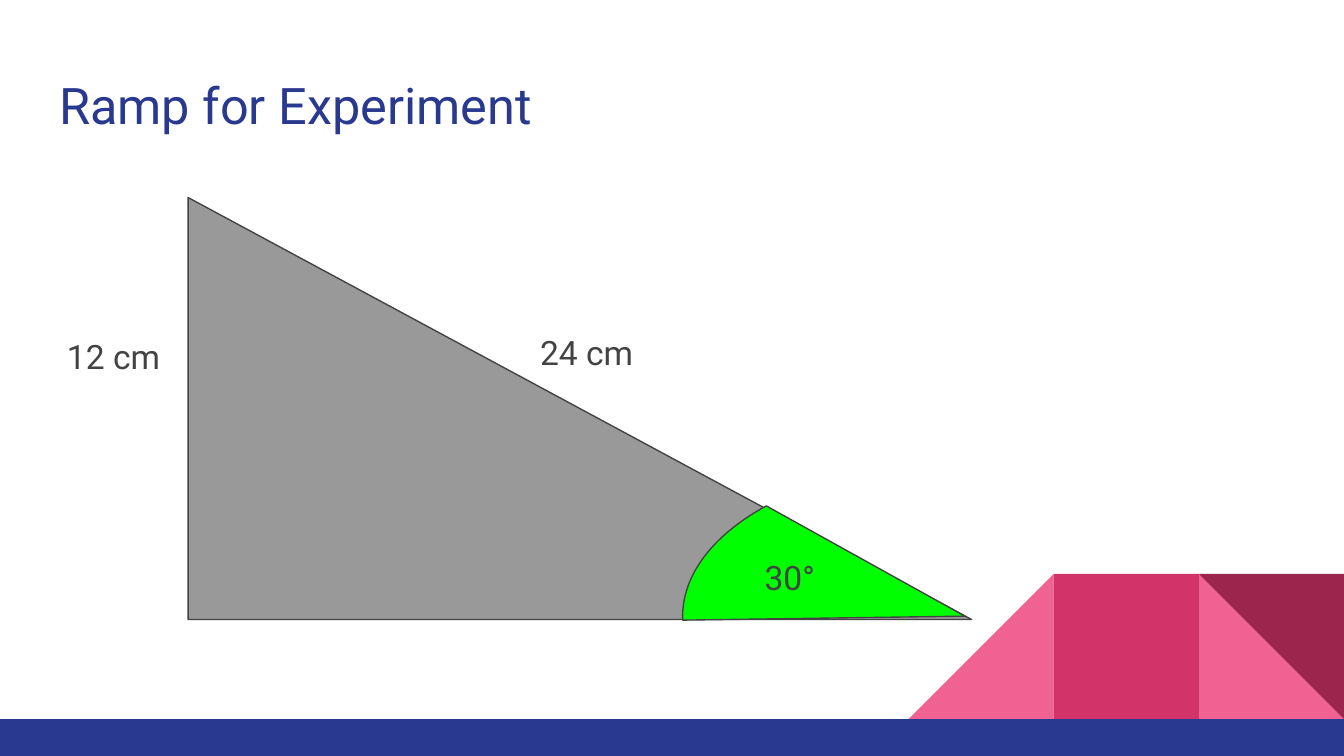
from pptx import Presentation
from pptx.dml.color import RGBColor
from pptx.enum.shapes import MSO_SHAPE as Shape
from pptx.enum.text import MSO_ANCHOR as Anchor, PP_ALIGN as Align
from pptx.util import Inches, Pt

NAVY = "2A3990"
PINK = "F06292"
DARK_GRAY = "434343"
SLIDE_WIDTH = 10
SLIDE_HEIGHT = SLIDE_WIDTH * 9 / 16


def write_text(shape, text, size, color, anchor=Anchor.TOP):
    frame = shape.text_frame
    frame.word_wrap = True
    frame.vertical_anchor = anchor
    frame.margin_left = frame.margin_right = Inches(0.1)
    frame.margin_top = frame.margin_bottom = Inches(0.1)
    paragraph = frame.paragraphs[0]
    paragraph.alignment = Align.LEFT
    run = paragraph.add_run()
    run.text = text
    run.font.name = "Roboto"
    run.font.size = Pt(size)
    run.font.color.rgb = RGBColor.from_string(color)


def add_filled_shape(kind, left, top, width, height, fill, line=None):
    shape = slide.shapes.add_shape(
        kind, Inches(left), Inches(top), Inches(width), Inches(height))
    shape.shadow.inherit = False
    shape.fill.solid()
    shape.fill.fore_color.rgb = RGBColor.from_string(fill)
    if line:
        shape.line.color.rgb = RGBColor.from_string(line)
        shape.line.width = Pt(0.75)
    else:
        shape.line.fill.background()
    return shape


presentation = Presentation()
presentation.slide_width = Inches(SLIDE_WIDTH)
presentation.slide_height = Inches(SLIDE_HEIGHT)
slide = presentation.slides.add_slide(presentation.slide_layouts[5])

# Corner decoration: square tiles side by side above the bottom bar
tile = 1.08
tile_top = 4.27
bar_top = tile_top + tile
tiles = [
    (Shape.RIGHT_TRIANGLE, 2, 0, PINK),
    (Shape.RIGHT_TRIANGLE, 0, 270, PINK),
    (Shape.RECTANGLE, 1, 0, "D23369"),
    (Shape.RIGHT_TRIANGLE, 2, 180, "9C254D"),
]
for kind, column, rotation, color in tiles:
    left = SLIDE_WIDTH - (3 - column) * tile
    shape = add_filled_shape(kind, left, tile_top, tile, tile, color)
    shape.rotation = rotation
add_filled_shape(
    Shape.RECTANGLE, 0, bar_top, SLIDE_WIDTH, SLIDE_HEIGHT - bar_top, NAVY)

# Title
title = slide.shapes.title
title.left, title.top = Inches(0.34), Inches(0.45)
title.width, title.height = Inches(9.32), Inches(0.66)
write_text(title, "Ramp for Experiment", 27, NAVY, Anchor.MIDDLE)

# Ramp with its angle
add_filled_shape(Shape.RIGHT_TRIANGLE, 1.4, 1.47, 5.83, 3.14, "999999", DARK_GRAY)
angle = add_filled_shape(Shape.PIE, 5.08, 3.43, 4.2, 2.31, "00FF00", DARK_GRAY)
angle.adjustments[0] = 107.519
angle.adjustments[1] = 125.429

# Measurements
labels = [
    ("24 cm", 3.92, 2.37, 1.88),
    ("12 cm", 0.4, 2.4, 0.95),
    ("30°", 5.59, 4.04, 0.95),
]
for text, left, top, width in labels:
    label = slide.shapes.add_textbox(
        Inches(left), Inches(top), Inches(width), Inches(0.52))
    write_text(label, text, 18, DARK_GRAY)

presentation.save("out.pptx")
